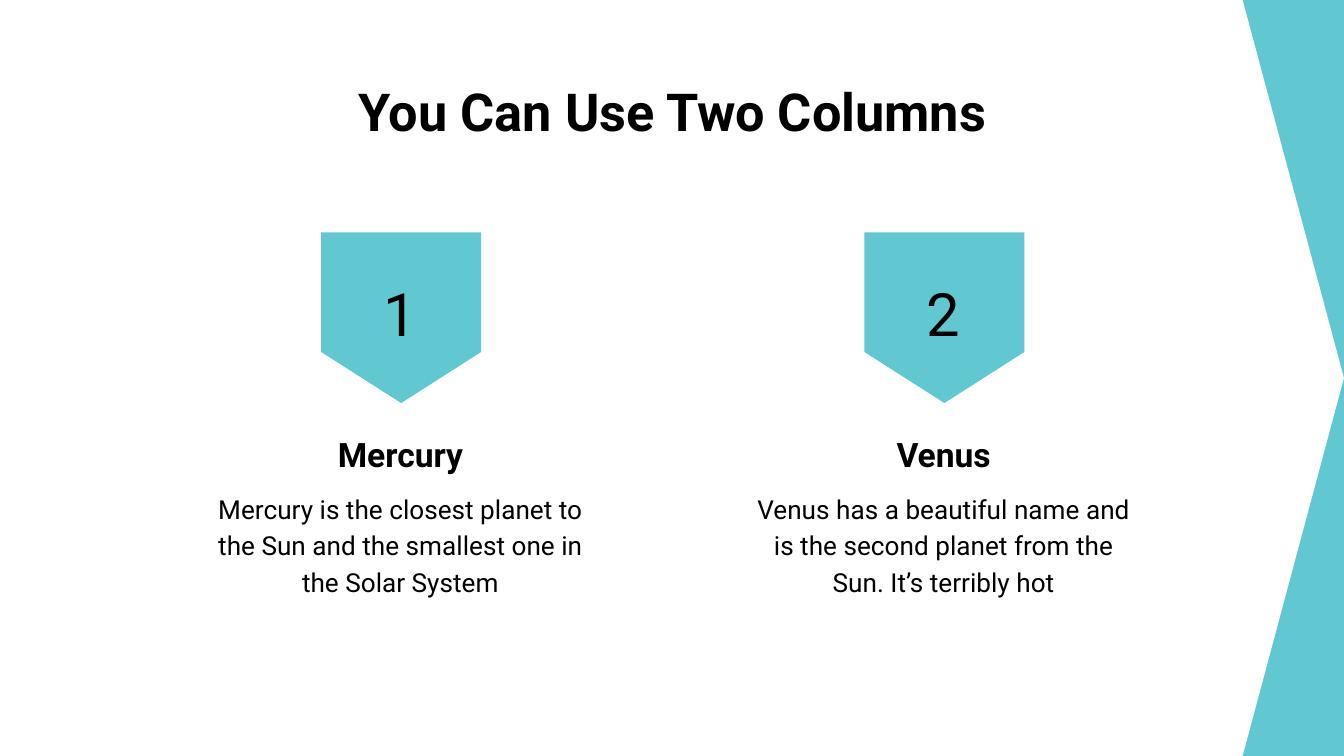
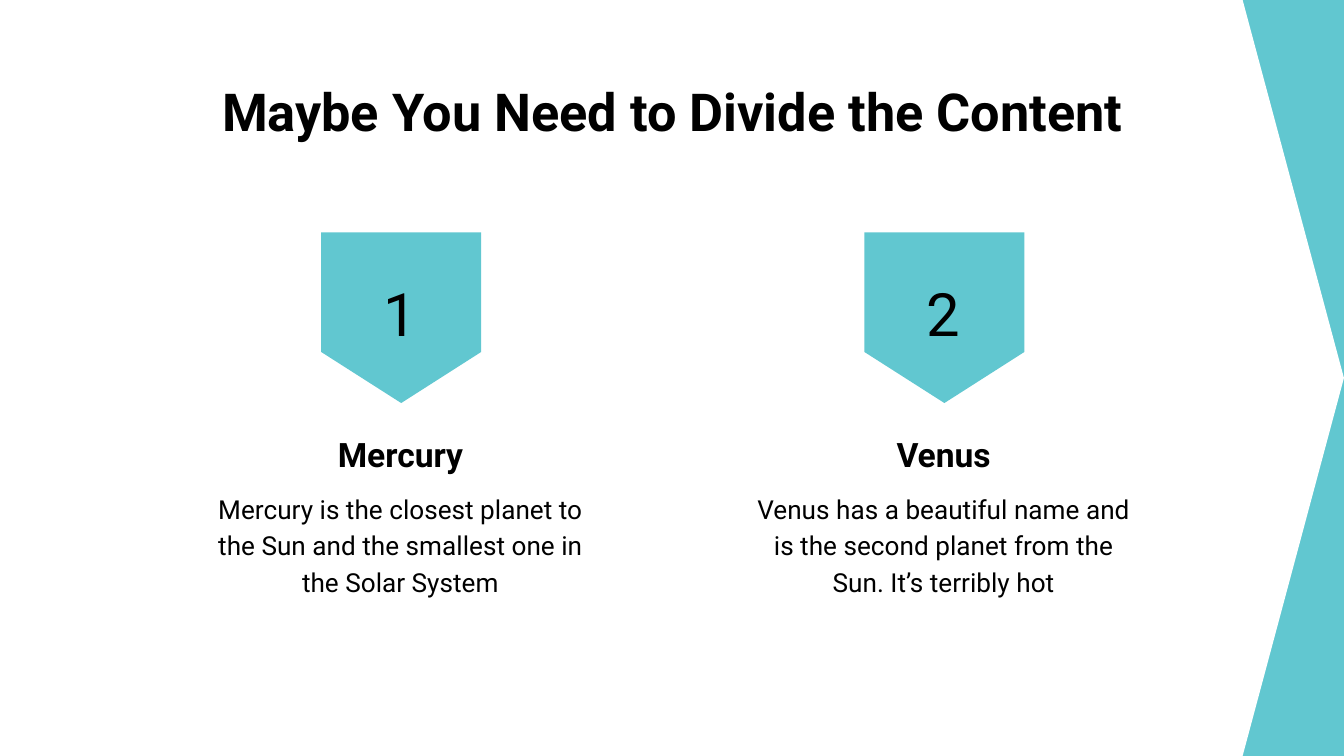
from pptx import Presentation
from pptx.dml.color import RGBColor
from pptx.enum.shapes import MSO_SHAPE as Kind
from pptx.enum.text import MSO_ANCHOR as Anchor, MSO_AUTO_SIZE as Fit, PP_ALIGN as Align
from pptx.util import Pt

WIDE, HIGH = 720, 405
TEAL, WHITE, BLACK = "61C7D0", "FFFFFF", "000000"
FONT = "Roboto"
TITLES = ["You Can Use Two Columns", "Maybe You Need to Divide the Content"]
PLANETS = [
    ("Mercury", "Mercury is the closest planet to the Sun and the smallest one in the Solar System"),
    ("Venus", "Venus has a beautiful name and is the second planet from the Sun. It’s terribly hot"),
]
LEFT, TOP, STEP, WIDTH = 104.4, 127.4, 291, 220.3


def paint(fill, code):
    fill.solid()
    fill.fore_color.rgb = RGBColor.from_string(code)


def place(shape, x, y, w, h):
    shape.left, shape.top, shape.width, shape.height = Pt(x), Pt(y), Pt(w), Pt(h)


def write(shape, text, size=14, bold=False, line=1.0, after=0, anchor=Anchor.TOP):
    frame = shape.text_frame
    frame.text = text
    frame.word_wrap = True
    frame.auto_size = Fit.NONE
    frame.vertical_anchor = anchor
    frame.margin_left = frame.margin_right = Pt(7.2)
    frame.margin_top = frame.margin_bottom = Pt(7.2)
    para = frame.paragraphs[0]
    para.alignment = Align.CENTER
    para.line_spacing = line
    para.space_before, para.space_after = Pt(0), Pt(after)
    font = para.runs[0].font
    font.name, font.size, font.bold = FONT, Pt(size), bold
    font.color.rgb = RGBColor.from_string(BLACK)


def label(slide, text, x, y, w, h, **style):
    box = slide.shapes.add_textbox(Pt(x), Pt(y), Pt(w), Pt(h))
    write(box, text, **style)


def plate(slide, x, y, w, h, code, point, turn=0):
    shape = slide.shapes.add_shape(Kind.PENTAGON, Pt(x), Pt(y), Pt(w), Pt(h))
    shape.adjustments[0] = point
    shape.rotation = turn
    shape.shadow.inherit = False
    paint(shape.fill, code)
    shape.line.fill.background()
    return shape


def column(slide, x, y, w, count, name, text):
    mid = x + w / 2
    long, short, side = 91.4, 85.7, 41.8
    plate(slide, mid - long / 2 + 0.35, y, long, short, TEAL, 0.319, 90)
    label(slide, str(count), mid - side / 2, y + 19.3, side, side, size=32, anchor=Anchor.MIDDLE)
    label(slide, name, x, y + 94.4, w, 45.4, size=18, bold=True, line=1.15, after=16)
    label(slide, text, x, y + 127.5, w, 115.2, line=1.15)


def page(deck, title):
    slide = deck.slides.add_slide(deck.slide_layouts[5])
    head = slide.shapes.title
    place(head, 56.2, 35.3, 607.7, 45.4)
    write(head, title, size=28, bold=True)
    for num, (name, text) in enumerate(PLANETS):
        column(slide, LEFT + num * STEP, TOP, WIDTH, num + 1, name, text)


def base(deck):
    master = deck.slide_master
    paint(master.background.fill, TEAL)
    panel = plate(deck.slides[0], 0, 0, WIDE, HIGH, WHITE, 0.134).element
    panel.nvSpPr.cNvPr.set("id", "99")
    master.shapes.element.insert(2, panel)


def main():
    deck = Presentation()
    deck.slide_width, deck.slide_height = Pt(WIDE), Pt(HIGH)
    for title in TITLES:
        page(deck, title)
    base(deck)
    deck.save("out.pptx")


if __name__ == "__main__":
    main()
